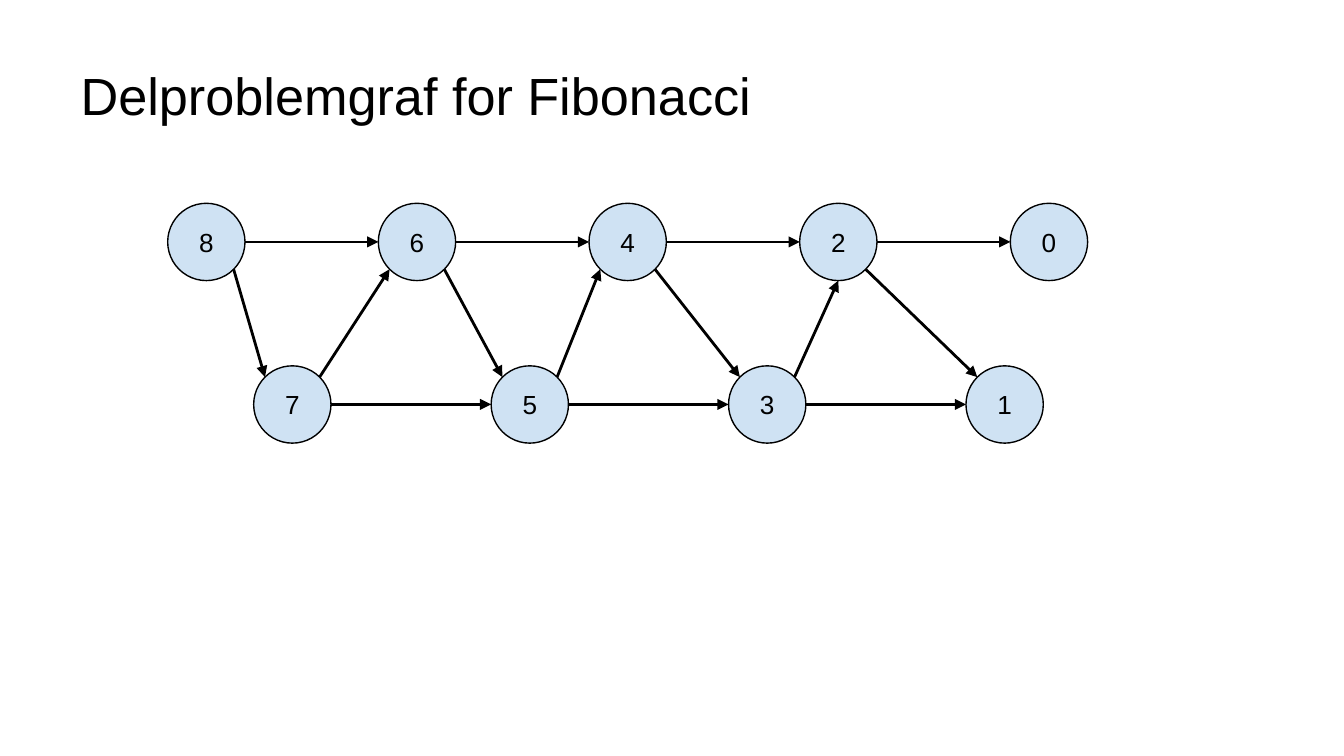
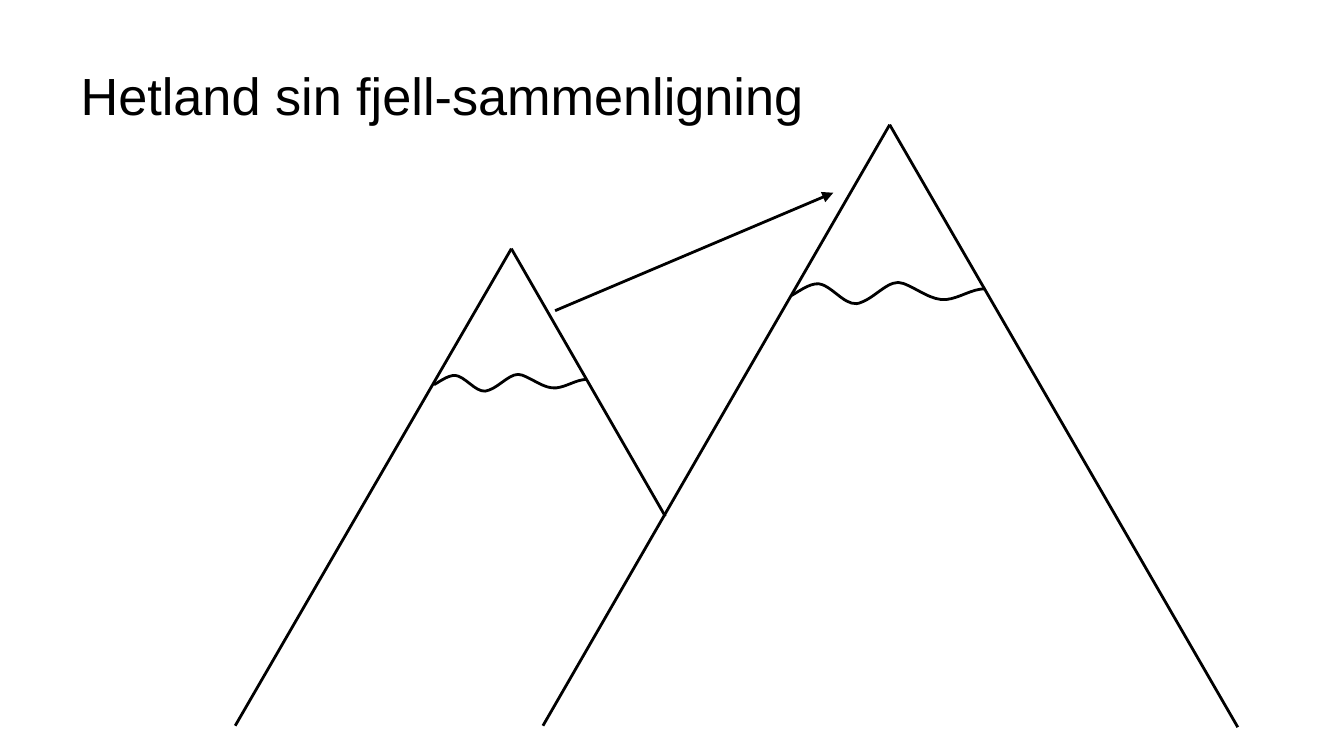
from math import cos, radians, sin

from lxml.etree import SubElement
from pptx import Presentation
from pptx.dml.color import RGBColor
from pptx.enum.shapes import MSO_CONNECTOR as Connector, MSO_SHAPE as Preset
from pptx.enum.text import MSO_ANCHOR as Anchor, MSO_AUTO_SIZE as AutoSize, PP_ALIGN as Align
from pptx.oxml.ns import qn
from pptx.util import Inches, Pt

BLACK = RGBColor(0x00, 0x00, 0x00)
PALE_BLUE = RGBColor(0xCF, 0xE2, 0xF3)
FONT = "Arial"
STROKE = Pt(1.5)
INSET = Inches(0.1)

deck = Presentation()
deck.slide_width, deck.slide_height = Inches(10), Inches(5.625)
title_only = deck.slide_layouts[5]


def at(across, down):
    """Turn percentages of the slide's width and height into a point."""
    return round(deck.slide_width * across / 100), round(deck.slide_height * down / 100)


def add_line(page, start, end, arrow=False):
    line = page.shapes.add_connector(Connector.STRAIGHT, *start, *end)
    line.line.color.rgb = BLACK
    line.line.width = STROKE
    if arrow:
        SubElement(line.line._get_or_add_ln(), qn("a:tailEnd"), type="triangle")
    SubElement(line.element.spPr, qn("a:effectLst"))
    return line


# Titles
FRAME_FORMAT = {
    "margin_left": INSET, "margin_right": INSET, "margin_top": INSET, "margin_bottom": INSET,
    "vertical_anchor": Anchor.MIDDLE, "word_wrap": True, "auto_size": AutoSize.NONE,
}
pages = []
for heading in ("Delproblemgraf for Fibonacci", "Hetland sin fjell-sammenligning"):
    page = deck.slides.add_slide(title_only)
    title = page.shapes.title
    title.left, title.top = at(5, 4.1)
    title.width, title.height = at(90, 16.7)
    title.text = heading
    for name, value in FRAME_FORMAT.items():
        setattr(title.text_frame, name, value)
    para = title.text_frame.paragraphs[0]
    para.alignment = Align.LEFT
    para.font.name, para.font.size = FONT, Pt(28)
    para.font.color.rgb = BLACK
    pages.append(page)
graph_page, mountain_page = pages

# Subproblem graph: even numbers above, odd numbers below
DIAMETER = at(5.75, 0)[0]
ROWS = [
    # numbers, centre of first and last column, centre of row
    ((8, 6, 4, 2, 0), 15.35, 78.05, 32),
    ((7, 5, 3, 1), 21.75, 74.75, 53.5),
]
nodes, centres = {}, {}
for numbers, first, last, down in ROWS:
    pitch = (last - first) / (len(numbers) - 1)
    for column, number in enumerate(numbers):
        x, y = centres[number] = at(first + column * pitch, down)
        node = graph_page.shapes.add_shape(
            Preset.OVAL, x - DIAMETER // 2, y - DIAMETER // 2, DIAMETER, DIAMETER)
        node.shadow.inherit = False
        node.fill.solid()
        node.fill.fore_color.rgb = PALE_BLUE
        node.line.color.rgb = BLACK
        node.line.width = Pt(0.75)
        node.text_frame.text = str(number)
        for name, value in FRAME_FORMAT.items():
            setattr(node.text_frame, name, value)
        para = node.text_frame.paragraphs[0]
        para.alignment = Align.CENTER
        para.font.name, para.font.size = FONT, Pt(14)
        para.font.color.rgb = BLACK
        nodes[number] = node

# An oval's connection sites run anticlockwise from the top, 45 degrees apart
TOP_LEFT, LEFT, BOTTOM_LEFT, BOTTOM, BOTTOM_RIGHT, RIGHT, TOP_RIGHT = range(1, 8)
edges = []
for number in range(8, 1, -1):
    edges.append((number, RIGHT, number - 2, LEFT))
    if number % 2 == 0:
        edges.append((number, BOTTOM_RIGHT, number - 1, TOP_LEFT))
    else:
        edges.append((number, TOP_RIGHT, number - 1, BOTTOM if number == 3 else BOTTOM_LEFT))

for source, source_site, target, target_site in edges:
    ends = []
    for number, site in ((source, source_site), (target, target_site)):
        x, y = centres[number]
        angle = radians(45 * site)
        ends.append((round(x - DIAMETER / 2 * sin(angle)), round(y - DIAMETER / 2 * cos(angle))))
    edge = add_line(graph_page, *ends, arrow=True)
    glue = edge.element.find(".//" + qn("p:cNvCxnSpPr"))
    SubElement(glue, qn("a:stCxn"), id=str(nodes[source].shape_id), idx=str(source_site))
    SubElement(glue, qn("a:endCxn"), id=str(nodes[target].shape_id), idx=str(target_site))

# Mountains: left foot, peak, right foot, start of the snow line and its scale
MOUNTAINS = [
    ((40.4, 96), (66.2, 16.5), (92.1, 96.2), (58.9, 39.1), 1),
    ((17.5, 96), (38.05, 32.9), (49.5, 68.3), (32.3, 50.9), 0.79),
]
# Bezier points of the snow line, in inches from its start
SNOW_CURVE = [
    (0.07, -0.04), (0.16, -0.11), (0.23, -0.08),
    (0.33, -0.04), (0.42, 0.1), (0.52, 0.05),
    (0.63, 0.01), (0.73, -0.13), (0.83, -0.09),
    (0.94, -0.05), (1.04, 0.04), (1.15, 0.03),
    (1.25, 0.02), (1.34, -0.05), (1.44, -0.05),
]
for left_foot, peak, right_foot, snow_start, scale in MOUNTAINS:
    add_line(mountain_page, at(*left_foot), at(*peak))
    add_line(mountain_page, at(*peak), at(*right_foot))

    x, y = at(*snow_start)
    builder = mountain_page.shapes.build_freeform(x, y)
    builder.add_line_segments(
        [(x + Inches(dx * scale), y + Inches(dy * scale)) for dx, dy in SNOW_CURVE], close=False)
    snow = builder.convert_to_shape()
    snow.shadow.inherit = False
    snow.fill.background()
    snow.line.color.rgb = BLACK
    snow.line.width = STROKE

    # Every three straight segments become one cubic curve
    outline = snow.element.find(".//" + qn("a:path"))
    segments = outline.findall(qn("a:lnTo"))
    for start in range(0, len(segments), 3):
        curve = SubElement(outline, qn("a:cubicBezTo"))
        for segment in segments[start:start + 3]:
            curve.append(segment[0])
            outline.remove(segment)

add_line(mountain_page, at(41.3, 41.1), at(62, 25.5), arrow=True)

deck.save("out.pptx")
